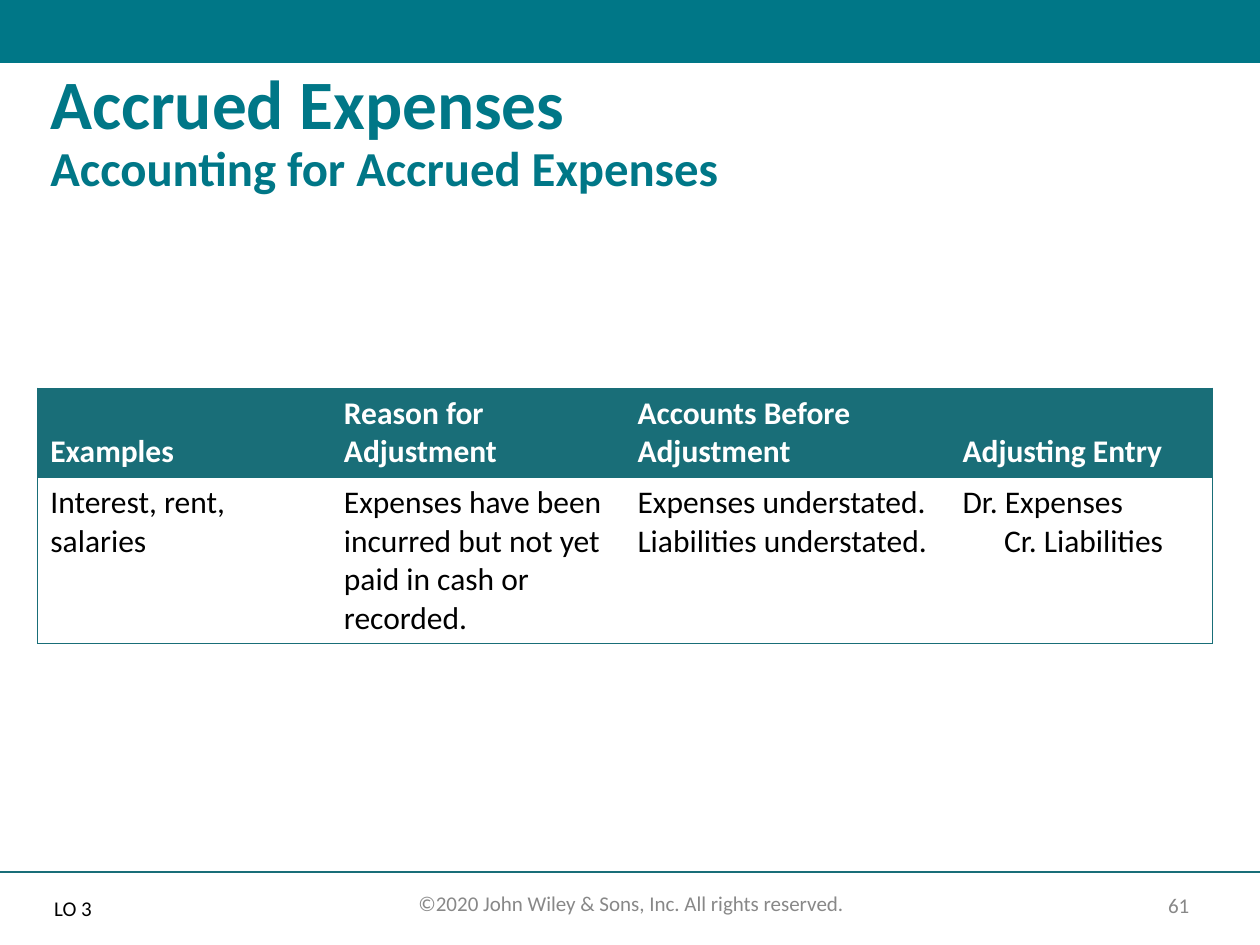
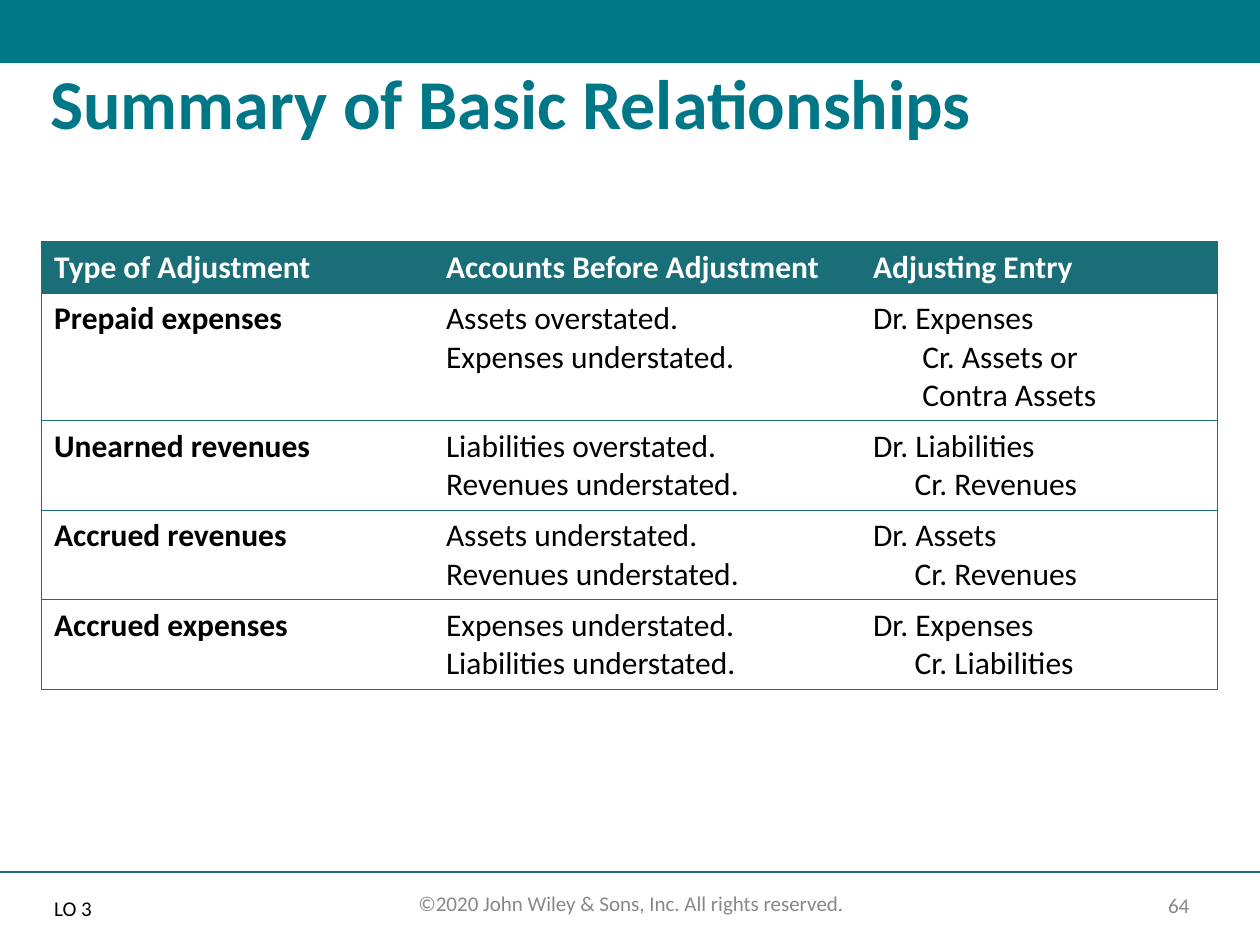
from dataclasses import dataclass

from lxml import etree
from pptx import Presentation
from pptx.dml.color import RGBColor
from pptx.enum.shapes import MSO_CONNECTOR, MSO_SHAPE
from pptx.enum.text import MSO_ANCHOR, MSO_AUTO_SIZE, PP_ALIGN
from pptx.oxml.ns import qn
from pptx.util import Inches, Pt

# Shared style
FONT = "Calibri"
TEAL = RGBColor(0x00, 0x77, 0x87)
DARK_TEAL = RGBColor(0x19, 0x6E, 0x78)
GREY = RGBColor(0x88, 0x88, 0x88)
BLACK = RGBColor(0x00, 0x00, 0x00)
WHITE = RGBColor(0xFF, 0xFF, 0xFF)

COPYRIGHT = "©2020 John Wiley & Sons, Inc. All rights reserved."
OBJECTIVE = "LO 3"
NO_STYLE_NO_GRID = "{2D5ABB26-0587-4C30-8999-92F81FD0307C}"


@dataclass(frozen=True)
class Entry:
    """Journal entry: a debit line, then indented credit lines."""
    debit: str
    credits: tuple[str, ...]
    indent: float = 0.33


@dataclass(frozen=True)
class TableSpec:
    left: float
    top: float
    column_widths: tuple[float, ...]
    row_heights: tuple[float, ...]
    rows: tuple[tuple[str | Entry, ...], ...]
    ruled_rows: tuple[int, ...]
    header_anchor: MSO_ANCHOR = MSO_ANCHOR.TOP
    bold_first_column: bool = False


@dataclass(frozen=True)
class SlideSpec:
    title: str
    title_sizes: tuple[float, ...]
    number: int
    table: TableSpec


SLIDES = (
    SlideSpec(
        "Accrued Expenses\vAccounting for Accrued Expenses", (39.6, 27.9), 61,
        TableSpec(
            0.3, 3.08, (2.33, 2.33, 2.58, 2.08), (0.71, 1.32),
            (
                ("Examples", "Reason for Adjustment",
                 "Accounts Before Adjustment", "Adjusting Entry"),
                ("Interest, rent, salaries",
                 "Expenses have been incurred but not yet paid in cash or recorded.",
                 "Expenses understated. Liabilities understated.",
                 Entry("Dr. Expenses", ("Cr. Liabilities",))),
            ),
            ruled_rows=(0, 1), header_anchor=MSO_ANCHOR.BOTTOM,
        ),
    ),
    SlideSpec(
        "Summary of Basic Relationships", (40,), 64,
        TableSpec(
            0.33, 1.92, (3.11, 3.39, 2.83), (0.41, 1.01, 0.71, 0.71, 0.71),
            (
                ("Type of Adjustment", "Accounts Before Adjustment", "Adjusting Entry"),
                ("Prepaid expenses", "Assets overstated.\nExpenses understated.",
                 Entry("Dr. Expenses", ("Cr. Assets or", "Contra Assets"), 0.39)),
                ("Unearned revenues", "Liabilities overstated.\nRevenues understated.",
                 Entry("Dr. Liabilities", ("Cr. Revenues",))),
                ("Accrued revenues", "Assets understated.\nRevenues understated.",
                 Entry("Dr. Assets", ("Cr. Revenues",))),
                ("Accrued expenses", "Expenses understated.\nLiabilities understated.",
                 Entry("Dr. Expenses", ("Cr. Liabilities",))),
            ),
            ruled_rows=(0, 2, 4), bold_first_column=True,
        ),
    ),
)


def format_run(run, size: float, color: RGBColor, bold: bool = False) -> None:
    run.font.name = FONT
    run.font.size = Pt(size)
    run.font.bold = bold
    run.font.color.rgb = color


def place(shape, left: float, top: float, width: float, height: float) -> None:
    shape.left, shape.top = Inches(left), Inches(top)
    shape.width, shape.height = Inches(width), Inches(height)


def add_footer_text(slide, text: str, left: float, top: float,
                    width: float, height: float, anchor: MSO_ANCHOR) -> None:
    box = slide.shapes.add_textbox(
        Inches(left), Inches(top), Inches(width), Inches(height))
    text_frame = box.text_frame
    text_frame.word_wrap = True
    text_frame.vertical_anchor = anchor
    text_frame.text = text
    paragraph = text_frame.paragraphs[0]
    paragraph.alignment = PP_ALIGN.CENTER
    format_run(paragraph.runs[0], 12, GREY)


def add_frame(slide, number: int) -> None:
    # Top band
    band = slide.shapes.add_shape(
        MSO_SHAPE.RECTANGLE, 0, 0, Inches(10), Inches(0.5))
    band.shadow.inherit = False
    band.fill.solid()
    band.fill.fore_color.rgb = TEAL
    band.line.fill.background()

    # Footer rule
    rule = slide.shapes.add_connector(
        MSO_CONNECTOR.STRAIGHT, 0, Inches(6.92), Inches(10), Inches(6.92))
    rule.line.color.rgb = DARK_TEAL
    rule.line.width = Pt(1)
    etree.SubElement(rule._element.spPr, qn("a:effectLst"))

    # Footer texts
    add_footer_text(slide, str(number), 9.05, 7.04, 0.61, 0.28, MSO_ANCHOR.MIDDLE)
    add_footer_text(slide, COPYRIGHT, 2.84, 7.02, 4.34, 0.3, MSO_ANCHOR.TOP)


def fill_placeholder(shape, text: str, sizes: tuple[float, ...],
                     color: RGBColor, bold: bool = False) -> None:
    text_frame = shape.text_frame
    text_frame.text = text
    text_frame.word_wrap = True
    text_frame.auto_size = MSO_AUTO_SIZE.NONE
    text_frame.vertical_anchor = MSO_ANCHOR.TOP
    paragraph = text_frame.paragraphs[0]
    properties = paragraph._p.get_or_add_pPr()
    properties.set("marL", "0")
    properties.set("indent", "0")
    etree.SubElement(properties, qn("a:buNone"))
    paragraph.alignment = PP_ALIGN.LEFT
    paragraph.line_spacing = 0.9
    paragraph.space_before = Pt(0)
    for run, size in zip(paragraph.runs, sizes):
        format_run(run, size, color, bold)


def add_border(cell, side: str) -> None:
    line = etree.SubElement(
        cell._tc.get_or_add_tcPr(), qn(f"a:ln{side}"), w=str(Pt(0.75)))
    solid_fill = etree.SubElement(line, qn("a:solidFill"))
    etree.SubElement(solid_fill, qn("a:srgbClr"), val=str(DARK_TEAL))


def write_cell(cell, content: str | Entry, color: RGBColor, bold: bool) -> None:
    text_frame = cell.text_frame
    if isinstance(content, Entry):
        text_frame.text = "\n".join((content.debit, *content.credits))
        for paragraph in text_frame.paragraphs[1:]:
            paragraph._p.get_or_add_pPr().set("marL", str(Inches(content.indent)))
    else:
        text_frame.text = content
    for paragraph in text_frame.paragraphs:
        format_run(paragraph.runs[0], 18, color, bold)


def add_adjustment_table(slide, spec: TableSpec) -> None:
    row_count, column_count = len(spec.rows), len(spec.column_widths)
    table = slide.shapes.add_table(
        row_count, column_count, Inches(spec.left), Inches(spec.top),
        Inches(sum(spec.column_widths)), Inches(sum(spec.row_heights))).table
    table._tbl.tblPr.find(qn("a:tableStyleId")).text = NO_STYLE_NO_GRID
    table.horz_banding = False
    for column, width in zip(table.columns, spec.column_widths):
        column.width = Inches(width)
    for row, height in zip(table.rows, spec.row_heights):
        row.height = Inches(height)

    for row_index, contents in enumerate(spec.rows):
        is_header = row_index == 0
        for column_index, content in enumerate(contents):
            cell = table.cell(row_index, column_index)
            bold = is_header or (spec.bold_first_column and column_index == 0)
            write_cell(cell, content, WHITE if is_header else BLACK, bold)
            cell.vertical_anchor = spec.header_anchor if is_header else MSO_ANCHOR.TOP

            # Outline and row rules
            sides = {
                "L": column_index == 0,
                "R": column_index == column_count - 1,
                "T": is_header or row_index - 1 in spec.ruled_rows,
                "B": row_index in spec.ruled_rows,
            }
            for side, is_drawn in sides.items():
                if is_drawn:
                    add_border(cell, side)

            if is_header:
                cell.fill.solid()
                cell.fill.fore_color.rgb = DARK_TEAL
            else:
                cell.fill.background()


def build_slide(presentation, spec: SlideSpec) -> None:
    slide = presentation.slides.add_slide(presentation.slide_layouts[1])
    add_frame(slide, spec.number)

    title = slide.shapes.title
    place(title, 0.3, 0.5, 9.34, 1.07)
    fill_placeholder(title, spec.title, spec.title_sizes, TEAL, bold=True)

    add_adjustment_table(slide, spec.table)

    objective = slide.placeholders[1]
    place(objective, 0.33, 7.08, 0.67, 0.33)
    fill_placeholder(objective, OBJECTIVE, (12,), BLACK)


def main() -> None:
    presentation = Presentation()
    presentation.slide_width = Inches(10)
    presentation.slide_height = Inches(7.5)
    for spec in SLIDES:
        build_slide(presentation, spec)
    presentation.save("out.pptx")


if __name__ == "__main__":
    main()
